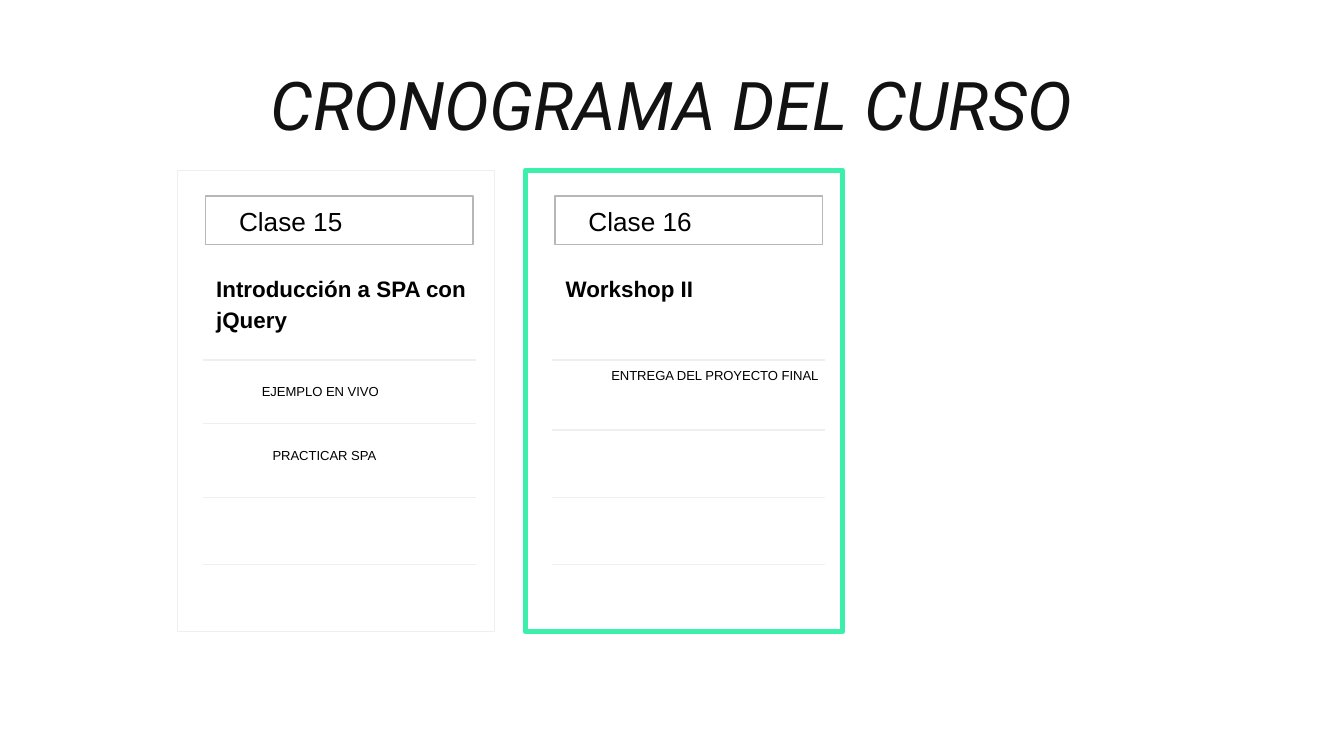
import pptx
import pptx.dml.color
import pptx.enum.shapes
import pptx.enum.text
import pptx.util
from lxml import etree
from pptx.util import Inches

COLORS = {
    "ink": "000000",
    "title": "121212",
    "badge": "B7B7B7",
    "rule": "EFEFEF",
    "current": "3CEFAB",
}
ANCHOR = pptx.enum.text.MSO_ANCHOR
SLIDE_WIDTH = 10
CARD_TOP, CARD_WIDTH, CARD_HEIGHT = 1.27, 2.36, 3.43

# Activities hold text, left, top and width; offsets are from the card corner.
CLASSES = [
    {
        "name": "Clase 16",
        "topic": "Workshop II",
        "left": 3.91,
        "inset": 0.2,
        "border": ("current", 3),
        "rules": [1.41, 1.93, 2.43, 2.93],
        "activities": [("ENTREGA DEL PROYECTO FINAL", 0.54, 1.37, 1.77)],
    },
    {
        "name": "Clase 15",
        "topic": "Introducción a SPA con jQuery",
        "left": 1.32,
        "inset": 0.19,
        "border": ("rule", 0.75),
        "rules": [1.41, 1.88, 2.43, 2.93],
        "activities": [("EJEMPLO EN VIVO", 0.53, 1.49, 1.44),
                       ("PRACTICAR SPA", 0.61, 1.96, 1.77)],
    },
]


def rgb(name):
    return pptx.dml.color.RGBColor.from_string(COLORS[name])


def write(frame, text, size, font="Arial", color="ink", bold=False, italic=False,
          anchor=ANCHOR.TOP):
    frame.word_wrap = True
    frame.auto_size = pptx.enum.text.MSO_AUTO_SIZE.NONE
    frame.vertical_anchor = anchor
    frame.margin_left = frame.margin_right = Inches(0.1)
    frame.margin_top = frame.margin_bottom = Inches(0.1)
    para = frame.paragraphs[0]
    span = para.add_run()
    span.text = text
    span.font.name = font
    span.font.size = pptx.util.Pt(size)
    span.font.bold = bold
    span.font.italic = italic
    span.font.color.rgb = rgb(color)
    return para


def add_text(page, box, text, size, **style):
    shape = page.shapes.add_textbox(*map(Inches, box))
    return write(shape.text_frame, text, size, **style)


def add_outline(page, box, color, width):
    shape = page.shapes.add_shape(
        pptx.enum.shapes.MSO_SHAPE.RECTANGLE, *map(Inches, box))
    shape.shadow.inherit = False
    shape.fill.background()
    shape.line.color.rgb = rgb(color)
    shape.line.width = pptx.util.Pt(width)


def add_rule(page, left, top, width):
    rule = page.shapes.add_connector(
        pptx.enum.shapes.MSO_CONNECTOR.STRAIGHT,
        Inches(left), Inches(top), Inches(left + width), Inches(top))
    rule.line.color.rgb = rgb("rule")
    rule.line.width = pptx.util.Pt(0.75)
    etree.SubElement(rule._element.spPr, pptx.oxml.ns.qn("a:effectLst"))


def add_title(page, box):
    title = page.shapes.title
    title.left, title.top, title.width, title.height = map(Inches, box)
    para = write(title.text_frame, "CRONOGRAMA DEL CURSO", 36, font="Roboto",
                 color="title", italic=True, anchor=ANCHOR.MIDDLE)
    para.alignment = pptx.enum.text.PP_ALIGN.CENTER


def add_class_card(page, box, lesson):
    left, top, width, height = box
    inner = left + lesson["inset"]
    add_outline(page, box, *lesson["border"])
    add_outline(page, (inner + 0.02, top + 0.19, 1.99, 0.36), "badge", 0.75)
    add_text(page, (inner + 0.17, top + 0.16, 1.35, 0.4), lesson["name"], 14)
    topic = add_text(page, (inner, top + 0.65, 2.21, 0.46),
                     lesson["topic"], 12, bold=True)
    topic.line_spacing = 1.15
    for offset in lesson["rules"]:
        add_rule(page, inner, top + offset, 2.03)
    for text, across, down, length in lesson["activities"]:
        add_text(page, (left + across, top + down, length, 0.31), text, 7,
                 anchor=ANCHOR.MIDDLE)


def main():
    deck = pptx.Presentation()
    deck.slide_width = Inches(SLIDE_WIDTH)
    deck.slide_height = Inches(SLIDE_WIDTH * 9 / 16)
    page = deck.slides.add_slide(deck.slide_layouts.get_by_name("Title Only"))
    add_title(page, (1.53, 0.23, 6.94, 1.08))
    for lesson in CLASSES:
        add_class_card(page, (lesson["left"], CARD_TOP, CARD_WIDTH, CARD_HEIGHT), lesson)
    deck.save("out.pptx")


if __name__ == "__main__":
    main()
